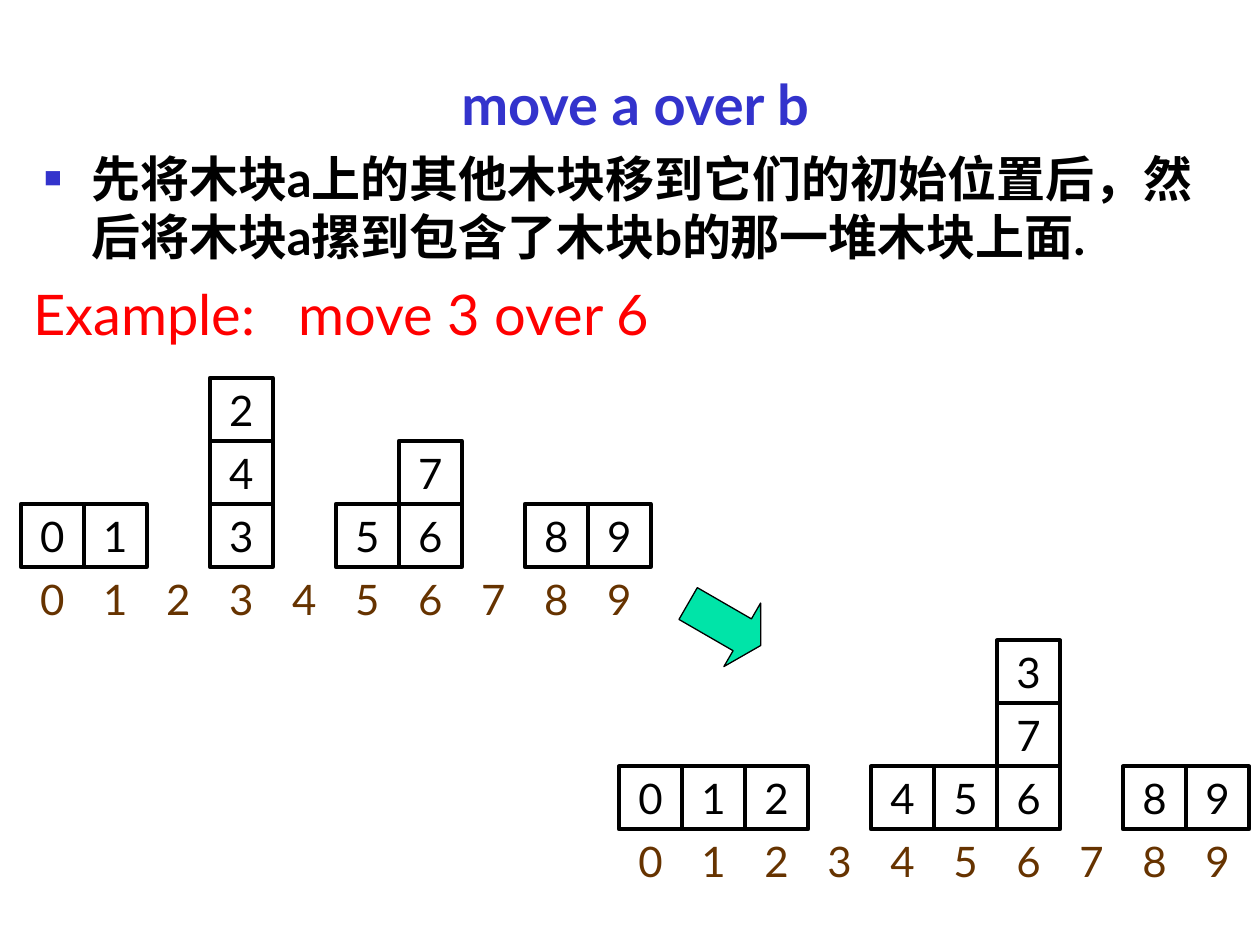
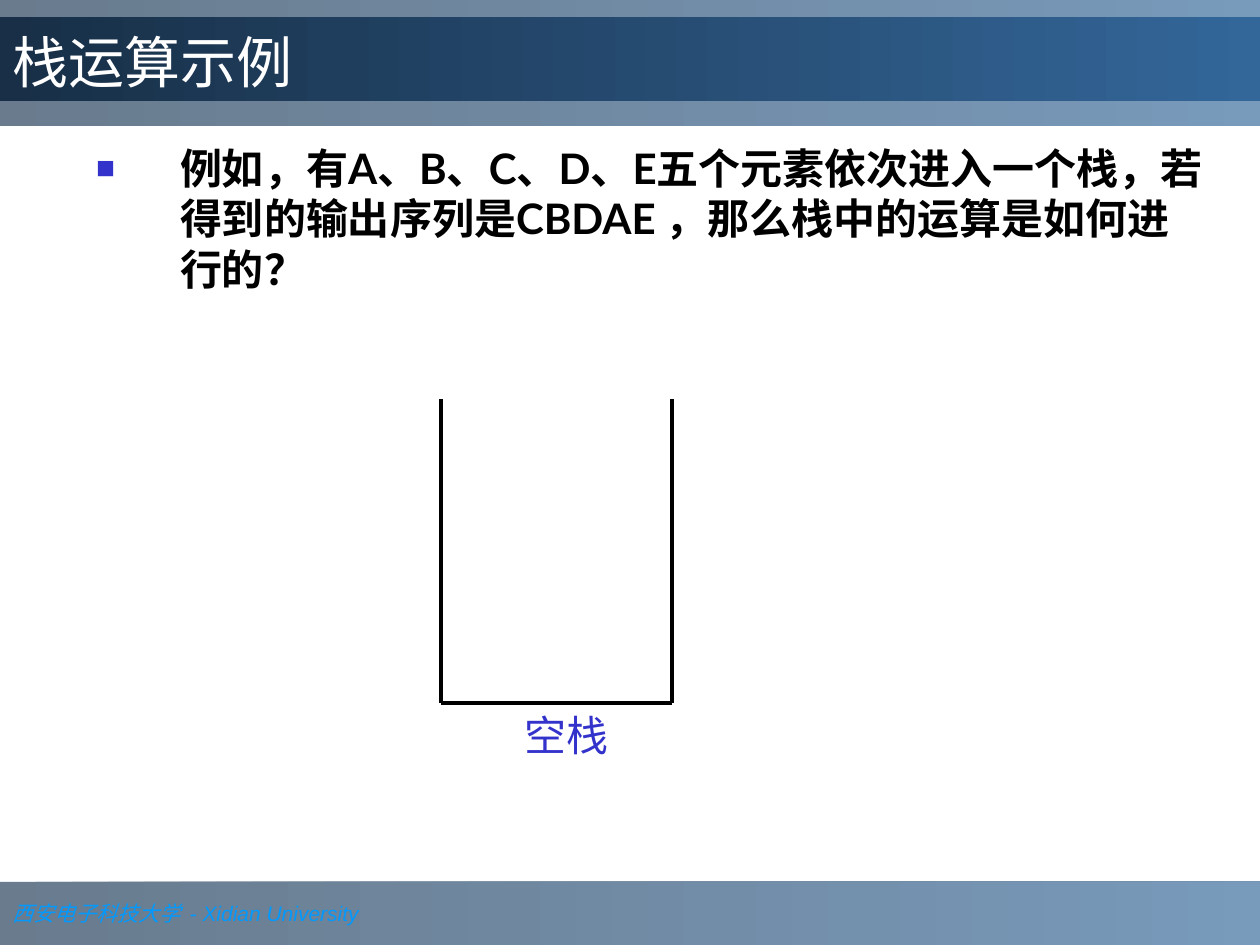
import pptx
import pptx.util
import pptx.dml.color
import pptx.enum.shapes
import pptx.enum.text
import pptx.oxml.ns
from lxml import etree

Cm, Pt = pptx.util.Cm, pptx.util.Pt
RGB = pptx.dml.color.RGBColor.from_string
qn = pptx.oxml.ns.qn
SHAPE = pptx.enum.shapes.MSO_SHAPE
ALIGN = pptx.enum.text.PP_ALIGN
ANCHOR = pptx.enum.text.MSO_ANCHOR

COLORS = {
    "text": "000000", "accent": "3333CC", "example": "FF0000", "index": "663300",
    "arrow": "00E4A8", "white": "FFFFFF", "footer": "0099FF",
    "band_dark": "1C3853", "title_dark": "182F47", "band_light": "336699",
}
FONT = "Lato"
CELL = 1.27


def write(sp, text, size, color, bold=False, align=ALIGN.LEFT, anchor=ANCHOR.TOP, ppr_items=()):
    """Put one paragraph in a shape; ppr_items are (tag, attributes) of bullets or tabs."""
    tf = sp.text_frame
    tf.word_wrap = True
    tf.auto_size = pptx.enum.text.MSO_AUTO_SIZE.NONE
    tf.vertical_anchor = anchor
    p = tf.paragraphs[0]
    p.text = text
    p.alignment = align
    parent = p._p.get_or_add_pPr()
    for tag, attributes in ppr_items:
        item = etree.SubElement(parent, qn(tag), attributes)
        if tag == "a:tabLst":
            parent = item
    p.font.name = FONT
    p.font.size = Pt(size)
    p.font.bold = bold
    p.font.color.rgb = RGB(COLORS[color])
    return p


def fill_gradient(sp, start, end, alpha=None):
    sp.fill.gradient()
    sp.fill.gradient_angle = 0
    for stop, color in zip(sp.fill.gradient_stops, (start, end)):
        stop.color.rgb = RGB(COLORS[color])
    if alpha:
        for clr in sp._element.spPr.iter(qn("a:srgbClr")):
            etree.SubElement(clr, qn("a:alpha"), val=str(alpha * 1000))


prs = pptx.Presentation()
prs.slide_width, prs.slide_height = Cm(25.4), Cm(19.05)
title_only = prs.slide_layouts[5]
blocks_slide = prs.slides.add_slide(title_only)
stack_slide = prs.slides.add_slide(title_only)

# Titles and bulleted statements
titles = [
    (blocks_slide, "move a over b", (0.64, 1.27, 24.33, 1.6), "accent", True, ALIGN.CENTER, ANCHOR.TOP),
    (stack_slide, "栈运算示例", (0, 0.34, 25.4, 1.69), "white", False, ALIGN.LEFT, ANCHOR.BOTTOM),
]
for s, text, box, color, bold, align, anchor in titles:
    sp = s.shapes.title
    sp.left, sp.top, sp.width, sp.height = map(Cm, box)
    write(sp, text, 32, color, bold, align, anchor)
fill_gradient(stack_slide.shapes.title, "title_dark", "band_light")

statements = [
    (blocks_slide, "先将木块a上的其他木块移到它们的初始位置后，然后将木块a摞到包含了木块b的那一堆木块上面.",
     (0.64, 2.86, 24.33, 2.6), 28, 0.95, 60),
    (stack_slide, "例如，有A、B、C、D、E五个元素依次进入一个栈，若得到的输出序列是CBDAE ，那么栈中的运算是如何进行的？",
     (1.69, 2.75, 22.85, 4.02), 24, 1.69, 75),
]
for s, text, box, size, indent, bullet_percent in statements:
    sp = s.shapes.add_textbox(*map(Cm, box))
    p = write(sp, text, size, "text", True, ppr_items=[
        ("a:buClr", {}),
        ("a:buSzPct", {"val": str(bullet_percent * 1000)}),
        ("a:buFont", {"typeface": "Arial"}),
        ("a:buChar", {"char": "■"}),
    ])
    ppr = p._p.pPr
    ppr.set("marL", str(Cm(indent)))
    ppr.set("indent", str(-Cm(indent)))
    etree.SubElement(ppr.find(qn("a:buClr")), qn("a:srgbClr"), val=COLORS["accent"])

# Blocks before and after the move: each column lists its blocks from the bottom up
before = ["0", "1", "", "342", "", "5", "67", "", "8", "9"]
after = ["0", "1", "2", "", "4", "5", "673", "", "8", "9"]
for columns, left, base in ((before, 0.42, 10.16), (after, 12.48, 15.45)):
    for i, column in enumerate(columns):
        x = Cm(left + i * CELL)
        for level, block in enumerate(column):
            sp = blocks_slide.shapes.add_shape(
                SHAPE.RECTANGLE, x, Cm(base - level * CELL), Cm(CELL), Cm(CELL))
            sp.shadow.inherit = False
            sp.fill.background()
            sp.line.color.rgb = RGB(COLORS["text"])
            sp.line.width = Pt(2.25)
            write(sp, block, 24, "text", align=ALIGN.CENTER, anchor=ANCHOR.MIDDLE)
        sp = blocks_slide.shapes.add_textbox(x, Cm(base + CELL), Cm(CELL), Cm(CELL))
        write(sp, str(i), 24, "index", align=ALIGN.CENTER, anchor=ANCHOR.MIDDLE)

sp = blocks_slide.shapes.add_textbox(Cm(0.42), Cm(5.52), Cm(20.32), Cm(1.9))
write(sp, "Example:\tmove 3 over 6", 32, "example", ppr_items=[
    ("a:tabLst", {}), ("a:tab", {"pos": str(Cm(5.35)), "algn": "l"})])

arrow = blocks_slide.shapes.add_shape(SHAPE.RIGHT_ARROW, Cm(13.76), Cm(11.85), Cm(1.69), Cm(1.48))
arrow.adjustments[0], arrow.adjustments[1] = 0.5, 0.29
arrow.rotation = 30
arrow.shadow.inherit = False
arrow.fill.solid()
arrow.fill.fore_color.rgb = RGB(COLORS["arrow"])
arrow.line.color.rgb = RGB(COLORS["text"])
arrow.line.width = Pt(0.75)

# Header and footer bands lie behind the title
for top, height in ((0, 2.54), (17.78, 1.27)):
    band = stack_slide.shapes.add_shape(SHAPE.RECTANGLE, 0, Cm(top), prs.slide_width, Cm(height))
    band.shadow.inherit = False
    band.line.fill.background()
    fill_gradient(band, "band_dark", "band_light", alpha=66)
    stack_slide.shapes._spTree.insert(2, band._element)
p = write(band, "西安电子科技大学 ", 12, "footer", anchor=ANCHOR.MIDDLE)
p.font.italic = True
p.runs[0].font.name = "Times New Roman"
r = p.add_run()
r.text = " - Xidian University"
r.font.name = "Arial"

# Empty stack
left, right, top, bottom = Cm(8.89), Cm(13.55), Cm(8.05), Cm(14.18)
walls = [(left, top, left, bottom), (right, top, right, bottom), (left, bottom, right, bottom)]
for ends in walls:
    wall = stack_slide.shapes.add_connector(pptx.enum.shapes.MSO_CONNECTOR.STRAIGHT, *ends)
    wall.line.color.rgb = RGB(COLORS["text"])
    wall.line.width = Pt(2.25)
    etree.SubElement(wall._element.spPr, qn("a:effectLst"))
sp = stack_slide.shapes.add_textbox(Cm(9.95), bottom, Cm(2.96), Cm(1.27))
write(sp, "空栈", 24, "accent", align=ALIGN.CENTER)

prs.save("out.pptx")
